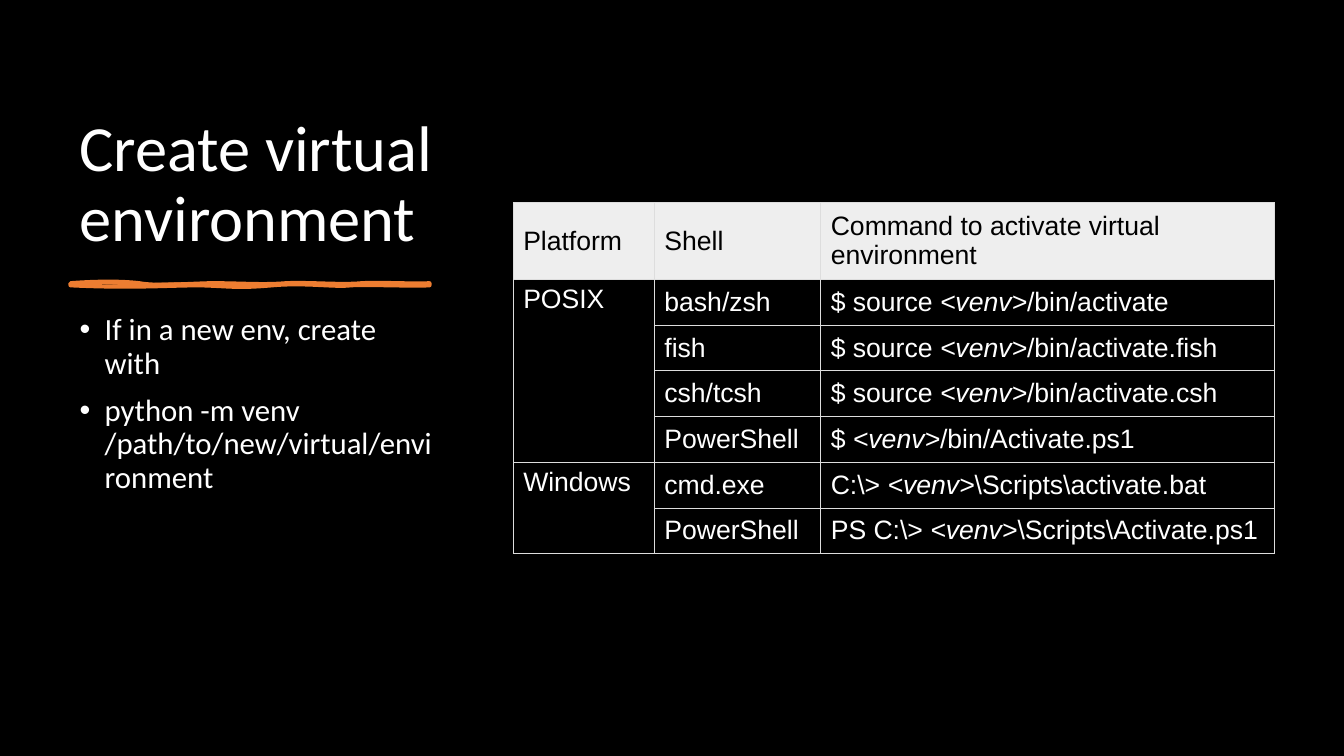
from dataclasses import dataclass
from typing import NamedTuple

from lxml import etree
from pptx import Presentation
from pptx.dml.color import RGBColor
from pptx.enum.text import MSO_ANCHOR
from pptx.oxml.ns import qn
from pptx.util import Pt

PX = 9144
TOP, MIDDLE, BOTTOM = MSO_ANCHOR.TOP, MSO_ANCHOR.MIDDLE, MSO_ANCHOR.BOTTOM
BLACK = RGBColor(0, 0, 0)
WHITE = RGBColor(255, 255, 255)
ORANGE = RGBColor(0xED, 0x7D, 0x31)
PALE = RGBColor(0xEE, 0xEE, 0xEE)
GREY = RGBColor(0xDD, 0xDD, 0xDD)
VENV = "<venv>"
COLS = (140, 165, 450)
ROWS = (76, 46, 45, 45, 46, 45, 45)
HEADS = ("Platform", "Shell", "Command to activate virtual environment")


class Font(NamedTuple):
    name: str
    size: int
    color: RGBColor


class Box(NamedTuple):
    left: int
    top: int
    width: int
    height: int


class Shell(NamedTuple):
    name: str
    lead: str
    tail: str


@dataclass
class Platform:
    name: str
    shells: list[Shell]


@dataclass
class Block:
    box: Box
    font: Font
    anchor: MSO_ANCHOR
    lines: list[str]
    bullet: bool = False


@dataclass
class Stroke:
    points: list[tuple[int, int]]
    flags: dict[str, str]


PLATFORMS = [
    Platform("POSIX", [
        Shell("bash/zsh", "$ source ", "/bin/activate"),
        Shell("fish", "$ source ", "/bin/activate.fish"),
        Shell("csh/tcsh", "$ source ", "/bin/activate.csh"),
        Shell("PowerShell", "$ ", "/bin/Activate.ps1"),
    ]),
    Platform("Windows", [
        Shell("cmd.exe", "C:\\> ", "\\Scripts\\activate.bat"),
        Shell("PowerShell", "PS C:\\> ", "\\Scripts\\Activate.ps1"),
    ]),
]
BLOCKS = [
    Block(Box(69, 70, 375, 188), Font("Calibri", 46, WHITE), BOTTOM,
          ["Create virtual environment"]),
    Block(Box(69, 307, 375, 373), Font("Calibri", 22, WHITE), TOP,
          ["If in a new env, create with",
           "python -m venv /path/to/new/virtual/environment"], True),
]
STROKES = [
    Stroke([(70, 281), (97, 279), (121, 279), (138, 281), (155, 284), (177, 282),
            (209, 281), (241, 281), (260, 283), (284, 281), (308, 280), (339, 283),
            (359, 281), (379, 280), (412, 282), (426, 281), (426, 282), (426, 283),
            (426, 283), (408, 284), (364, 282), (348, 283), (332, 285), (304, 280),
            (270, 283), (235, 286), (231, 284), (199, 283), (166, 283), (132, 286),
            (70, 283), (70, 283), (70, 282), (70, 281)], {"fill": "none"}),
    Stroke([(70, 281), (102, 284), (110, 282), (138, 281), (166, 281), (169, 279),
            (199, 281), (228, 284), (261, 283), (277, 281), (293, 280), (327, 284),
            (344, 281), (362, 279), (397, 285), (426, 281), (426, 282), (426, 283),
            (426, 283), (412, 283), (372, 286), (355, 283), (338, 281), (309, 284),
            (277, 283), (244, 283), (240, 282), (216, 283), (193, 285), (179, 283),
            (145, 283), (111, 284), (92, 283), (70, 283), (70, 283), (70, 282),
            (70, 281)], {"stroke": "0"}),
]


def add_run(para, text: str, font: Font, slant: bool = False) -> None:
    run = para.add_run()
    run.text = text
    run.font.name = font.name
    run.font.size = Pt(font.size)
    run.font.color.rgb = font.color
    run.font.italic = slant


def add_block(slide, block: Block) -> None:
    frame = slide.shapes.add_textbox(*(n * PX for n in block.box)).text_frame
    frame.word_wrap = True
    frame.vertical_anchor = block.anchor
    for index, line in enumerate(block.lines):
        para = frame.add_paragraph() if index else frame.paragraphs[0]
        para.line_spacing = 0.9
        if block.bullet:
            para.space_before = Pt(10)
            props = para._p.get_or_add_pPr()
            props.set("marL", str(25 * PX))
            props.set("indent", str(-25 * PX))
            etree.SubElement(props, qn("a:buFont"), typeface="Arial")
            etree.SubElement(props, qn("a:buChar"), char="•")
        add_run(para, line, block.font)


def add_rule(slide, strokes: list[Stroke]) -> None:
    ends = [(x * PX, y * PX) for x, y in strokes[0].points[::3]]
    pen = slide.shapes.build_freeform(*ends[0])
    pen.add_line_segments(ends[1:], close=True)
    shape = pen.convert_to_shape()
    shape.shadow.inherit = False
    shape.fill.solid()
    shape.fill.fore_color.rgb = ORANGE
    shape.line.color.rgb = ORANGE
    shape.line.width = Pt(3)
    routes = shape._element.spPr.find(f".//{qn('a:pathLst')}")
    routes.clear()
    for stroke in strokes:
        route = etree.SubElement(routes, qn("a:path"), stroke.flags,
                                 w=str(shape.width), h=str(shape.height))
        for index, (x, y) in enumerate(stroke.points):
            if index == 0:
                step = etree.SubElement(route, qn("a:moveTo"))
            elif index % 3 == 1:
                step = etree.SubElement(route, qn("a:cubicBezTo"))
            etree.SubElement(step, qn("a:pt"), x=str(x * PX - shape.left),
                             y=str(y * PX - shape.top))
        etree.SubElement(route, qn("a:close"))


def style_cell(cell, head: bool) -> None:
    cell.vertical_anchor = MIDDLE
    cell.margin_left = cell.margin_right = 10 * PX
    cell.margin_top = cell.margin_bottom = 5 * PX
    if head:
        cell.fill.solid()
        cell.fill.fore_color.rgb = PALE
    else:
        cell.fill.background()
    props = cell._tc.get_or_add_tcPr()
    for index, side in enumerate("LRTB"):
        edge = etree.Element(qn(f"a:ln{side}"), w=str(Pt(0.75)))
        paint = etree.SubElement(edge, qn("a:solidFill"))
        etree.SubElement(paint, qn("a:srgbClr"), val=str(GREY))
        props.insert(index, edge)


def add_grid(slide, box: Box) -> None:
    grid = slide.shapes.add_table(
        len(ROWS), len(COLS), *(n * PX for n in box)).table
    grid.first_row = grid.horz_banding = False
    for col, width in zip(grid.columns, COLS):
        col.width = width * PX
    for index, height in enumerate(ROWS):
        grid.rows[index].height = height * PX
        for cell in grid.rows[index].cells:
            style_cell(cell, index == 0)
    dark, light = Font("Arial", 19, BLACK), Font("Arial", 19, WHITE)
    for col, head in enumerate(HEADS):
        add_run(grid.cell(0, col).text_frame.paragraphs[0], head, dark)
    row = 1
    for group in PLATFORMS:
        first = grid.cell(row, 0)
        first.merge(grid.cell(row + len(group.shells) - 1, 0))
        first.vertical_anchor = TOP
        add_run(first.text_frame.paragraphs[0], group.name, light)
        for shell in group.shells:
            add_run(grid.cell(row, 1).text_frame.paragraphs[0], shell.name, light)
            para = grid.cell(row, 2).text_frame.paragraphs[0]
            add_run(para, shell.lead, light)
            add_run(para, VENV, light, True)
            add_run(para, shell.tail, light)
            row += 1


def main() -> None:
    deck = Presentation()
    deck.slide_width, deck.slide_height = 1333 * PX, 750 * PX
    slide = deck.slides.add_slide(deck.slide_layouts[6])
    slide.background.fill.solid()
    slide.background.fill.fore_color.rgb = BLACK
    add_rule(slide, STROKES)
    for block in BLOCKS:
        add_block(slide, block)
    add_grid(slide, Box(509, 201, sum(COLS), sum(ROWS)))
    deck.save("out.pptx")


if __name__ == "__main__":
    main()
